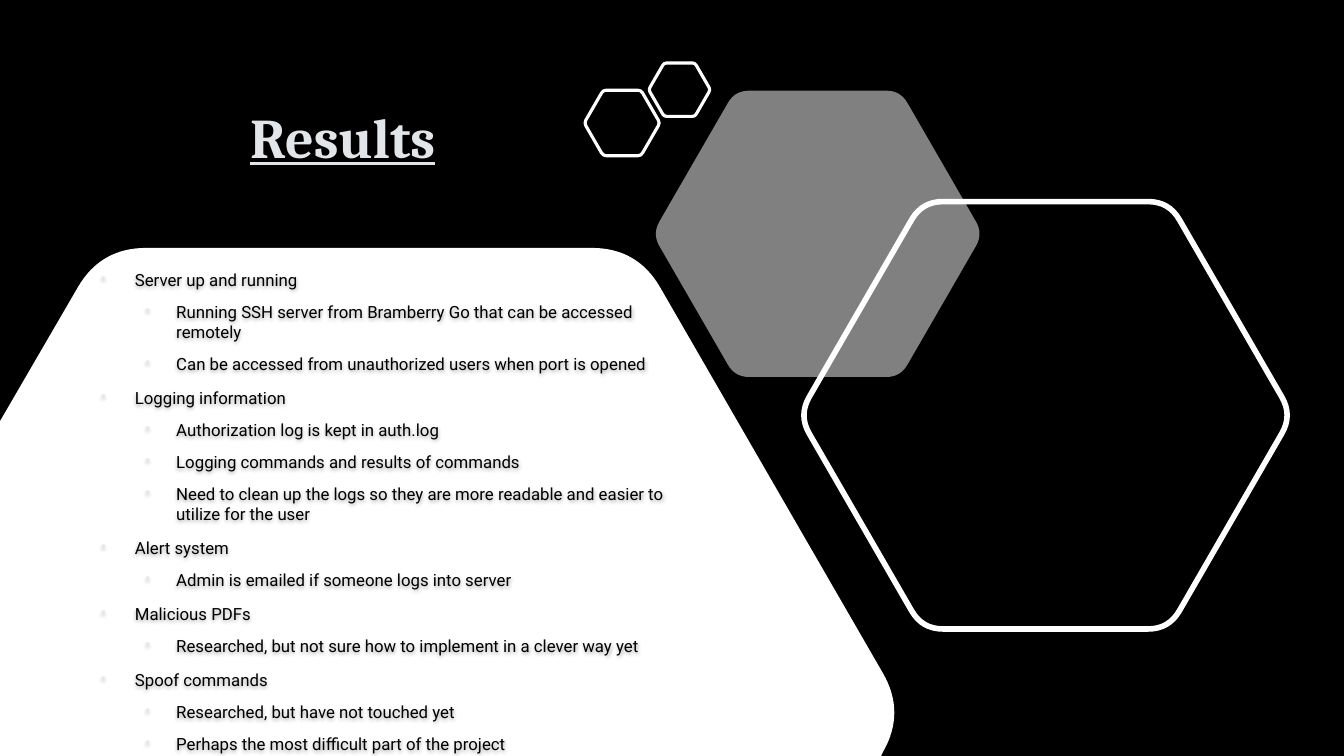
from math import cos, pi, sin, sqrt

from lxml.etree import SubElement
from pptx import Presentation
from pptx.dml.color import RGBColor
from pptx.enum.text import MSO_ANCHOR as Anchor, PP_ALIGN as Align
from pptx.oxml.ns import qn
from pptx.util import Inches, Pt

WIDTH, HEIGHT = 13.33, 7.5
COLOURS = {"black": "000000", "white": "FFFFFF", "pale": "E2E6E8", "edge": "404040"}
CORNER = 0.049  # corner cut as a share of hexagon height

RESULTS = [
    ("Server up and running", [
        "Running SSH server from Bramberry Go that can be accessed remotely",
        "Can be accessed from unauthorized users when port is opened"]),
    ("Logging information", [
        "Authorization log is kept in auth.log",
        "Logging commands and results of commands",
        "Need to clean up the logs so they are more readable and easier to "
        "utilize for the user"]),
    ("Alert system", ["Admin is emailed if someone logs into server"]),
    ("Malicious PDFs", [
        "Researched, but not sure how to implement in a clever way yet"]),
    ("Spoof commands", [
        "Researched, but have not touched yet",
        "Perhaps the most difficult part of the project"]),
]


def colour(name):
    return RGBColor.from_string(COLOURS[name])


def add_child(parent, tag, **attributes):
    return SubElement(parent, qn(tag), {key: str(value) for key, value in attributes.items()})


def add_colour(parent, name, alpha):
    tint = add_child(parent, "a:srgbClr", val=COLOURS[name])
    add_child(tint, "a:alpha", val=alpha * 1000)


# Hexagons
def toward(origin, target, share):
    return tuple(o + share * (t - o) for o, t in zip(origin, target))


def hexagon_corners(centre_x, centre_y, height):
    """Corner curves (start, two controls, end), clockwise from top left."""
    side = height / sqrt(3)
    share = CORNER * height / side
    vertices = [(centre_x + side * cos(k * pi / 3), centre_y + side * sin(k * pi / 3))
                for k in range(-2, 4)]
    corners = []
    for k, vertex in enumerate(vertices):
        before, after = vertices[k - 1], vertices[(k + 1) % 6]
        corners.append((toward(vertex, before, share), toward(vertex, before, share / 3),
                        toward(vertex, after, share / 3), toward(vertex, after, share)))
    return corners


def add_outline(slide, corners, straight=(), fill=None, alpha=None, line_width=None):
    """Draw corner curves joined by lines, then any straight-edged points."""
    points = [point for corner in corners for point in corner] + list(straight)
    emu = [(Inches(x), Inches(y)) for x, y in points]
    builder = slide.shapes.build_freeform(*emu[0])
    builder.add_line_segments(emu[1:], close=True)
    shape = builder.convert_to_shape()
    shape.shadow.inherit = False

    # Turn the last three points of each corner into one curve
    outline = next(shape._element.iter(qn("a:path")))
    segments = list(outline)
    for first in range(1, 4 * len(corners), 4):
        curve = add_child(outline, "a:cubicBezTo")
        outline.replace(segments[first], curve)
        for segment in segments[first:first + 3]:
            curve.append(segment[0])
        for segment in segments[first + 1:first + 3]:
            outline.remove(segment)

    if fill:
        shape.fill.solid()
        shape.fill.fore_color.rgb = colour(fill)
        if alpha:
            solid = shape._element.spPr.find(qn("a:solidFill"))
            add_child(solid[0], "a:alpha", val=alpha * 1000)
    else:
        shape.fill.background()
    if line_width:
        shape.line.color.rgb = colour("white")
        shape.line.width = Pt(line_width)
    else:
        shape.line.fill.background()


# Text
def add_text_box(slide, left, top, width, height, anchor=Anchor.TOP):
    box = slide.shapes.add_textbox(Inches(left), Inches(top), Inches(width), Inches(height))
    box.text_frame.word_wrap = True
    box.text_frame.vertical_anchor = anchor
    return box


def write(paragraph, text, font, size, color, bold=False, underline=False,
          align=Align.LEFT, line_spacing=1.0):
    paragraph.alignment = align
    paragraph.line_spacing = line_spacing
    run = paragraph.add_run()
    run.text = text
    run.font.name = font
    run.font.size = Pt(size)
    run.font.bold = bold
    run.font.underline = underline
    run.font.color.rgb = colour(color)
    # Faint outline around the letters
    properties = run._r.get_or_add_rPr()
    line = add_child(properties, "a:ln", w=Pt(0.75))
    add_colour(add_child(line, "a:solidFill"), "edge", 10)
    properties.insert(0, line)


def add_bullet(paragraph, margin, indent):
    paragraph.space_before = Pt(2.4)
    paragraph.space_after = Pt(6)
    properties = paragraph._p.get_or_add_pPr()
    properties.set("marL", str(Inches(margin)))
    properties.set("indent", str(Inches(indent)))
    add_child(add_child(properties, "a:buClr"), "a:srgbClr", val=COLOURS["pale"])
    add_child(properties, "a:buSzPct", val=70000)
    add_child(properties, "a:buChar", char="•")


def add_soft_shadow(box):
    effects = add_child(box._element.spPr, "a:effectLst")
    shadow = add_child(effects, "a:outerShdw", blurRad=Pt(3), dist=Pt(1), dir=5400000)
    add_colour(shadow, "black", 35)


def add_results(slide):
    box = add_text_box(slide, 0.86, 2.61, 5.87, 4.41)
    add_soft_shadow(box)
    frame = box.text_frame
    entries = []
    for topic, details in RESULTS:
        entries += [(topic, 0)] + [(detail, 1) for detail in details]
    for index, (text, level) in enumerate(entries):
        paragraph = frame.add_paragraph() if index else frame.paragraphs[0]
        paragraph.level = level
        write(paragraph, text, "Roboto", 12, "black", line_spacing=(1.1, 1.0)[level])
        add_bullet(paragraph, *((0.38, -0.33), (0.79, -0.3))[level])


def main():
    presentation = Presentation()
    presentation.slide_width, presentation.slide_height = Inches(WIDTH), Inches(HEIGHT)
    slide = presentation.slides.add_slide(presentation.slide_layouts[6])
    slide.background.fill.solid()
    slide.background.fill.fore_color.rgb = colour("black")

    # Title
    title = add_text_box(slide, 1.06, 0.49, 4.68, 1.8, anchor=Anchor.MIDDLE)
    write(title.text_frame.paragraphs[0], "Results", "Cambria", 40, "pale", bold=True,
          underline=True, align=Align.CENTER, line_spacing=0.9)

    # White panel: three whole corners, cut off at the left and bottom slide edges
    add_outline(slide, hexagon_corners(3.66, 7.07, 9.22)[:3],
                straight=[(8.74, HEIGHT), (0, HEIGHT), (0, 4.18)], fill="white")

    # Decorative hexagons
    add_outline(slide, hexagon_corners(10.37, 4.12, 4.24), line_width=4)
    add_outline(slide, hexagon_corners(8.11, 2.32, 2.84), fill="white", alpha=50)
    add_outline(slide, hexagon_corners(6.17, 1.22, 0.65), line_width=2.25)
    add_outline(slide, hexagon_corners(6.74, 0.89, 0.53), line_width=2.25)

    add_results(slide)
    presentation.save("out.pptx")


if __name__ == "__main__":
    main()
